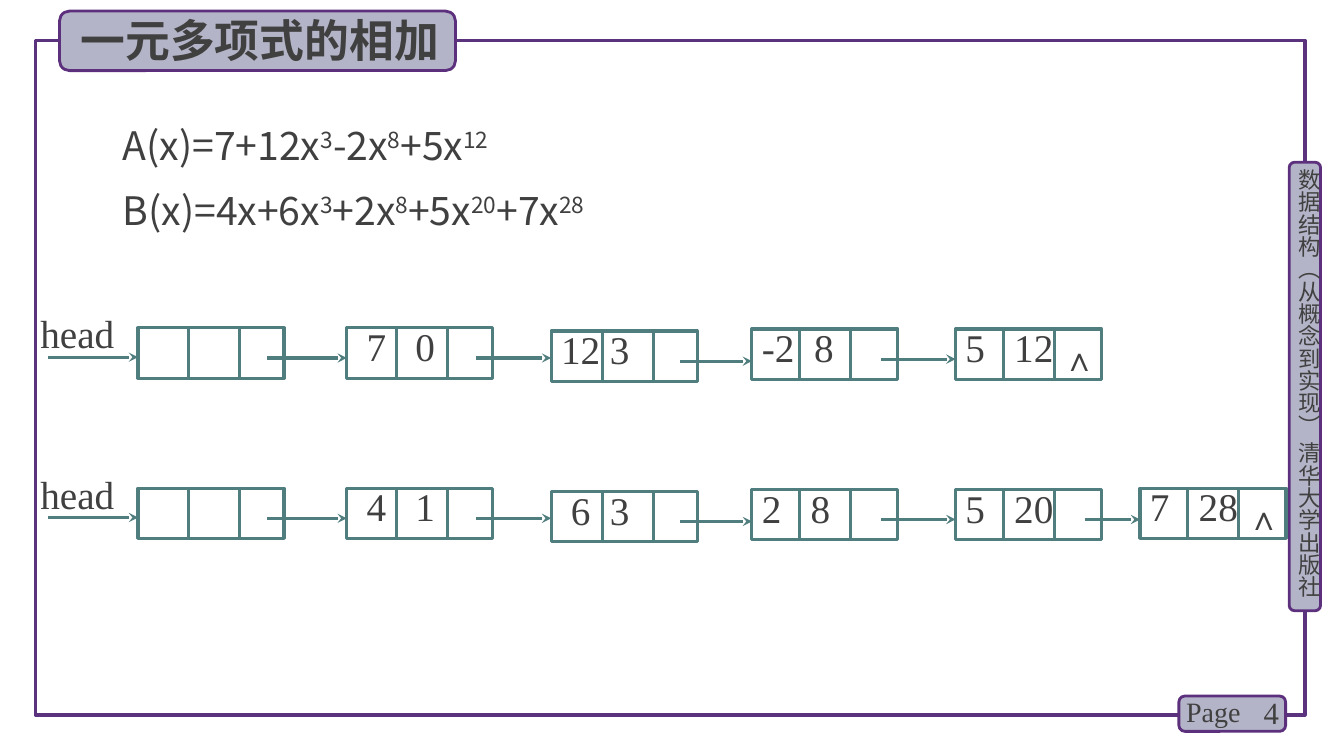
from lxml import etree
from pptx import Presentation
from pptx.dml.color import RGBColor
from pptx.enum.shapes import MSO_CONNECTOR, MSO_SHAPE
from pptx.enum.text import MSO_ANCHOR, MSO_AUTO_SIZE, PP_ALIGN
from pptx.oxml.ns import qn
from pptx.util import Cm, Pt

RECT, ROUNDED = MSO_SHAPE.RECTANGLE, MSO_SHAPE.ROUNDED_RECTANGLE
STRAIGHT = MSO_CONNECTOR.STRAIGHT
TOP, MIDDLE = MSO_ANCHOR.TOP, MSO_ANCHOR.MIDDLE
LEFT, RIGHT = PP_ALIGN.LEFT, PP_ALIGN.RIGHT
NO_AUTOFIT = MSO_AUTO_SIZE.NONE

SANS, SERIF = "Noto Sans CJK SC", "Times New Roman"
INK, PANEL, TEAL = "404040", "B4B4C8", "507D7D"
FRAME_PURPLE, PANEL_PURPLE = "5A327D", "5C307D"
INSETS = (0.25, 0.13, 0.25, 0.13)

# Node geometry, in cm
NODE_W, NODE_H = 3.68, 1.27
CELL_W = 1.29
LINK_X, LINK_Y = 3.26, 0.76
# Left edge, drop below the row's top and width of the first cell
SLOTS = [(3.48, 0, 1.27), (8.74, 0, 1.25), (13.89, 0.08, 1.29),
         (18.95, 0.03, 1.2), (24.08, 0.03, 1.2), (28.73, 0, 1.2)]
# Coefficient, exponent, indent of the coefficient, tab to the exponent
TERMS_A = [("7", "0", 0.25, 1.23), ("12", "3", 0, 1.23),
           ("-2", "8", 0, 1.32), ("5", "12", 0, 1.23)]
TERMS_B = [("4", "1", 0.25, 1.23), ("6", "3", 0.25, 0.98),
           ("2", "8", 0, 1.23), ("5", "20", 0, 1.23), ("7", "28", 0, 1.23)]
# Text and exponent pairs
POLYNOMIALS = [
    [("A(x)=7+12x", "3"), ("-2x", "8"), ("+5x", "12")],
    [("B(x)=4x+6x", "3"), ("+2x", "8"), ("+5x", "20"), ("+7x", "28")],
]


def color(hex_code):
    return RGBColor.from_string(hex_code)


def style(paragraph, size, face, bold=False):
    font = paragraph.font
    font.size, font.name, font.bold = Pt(size), face, bold
    font.color.rgb = color(INK)
    defaults = paragraph._p.pPr.find(qn("a:defRPr"))
    latin = defaults.find(qn("a:latin"))
    latin.addnext(etree.Element(qn("a:ea"), typeface=face))


def set_frame(frame, insets=INSETS, anchor=TOP):
    frame.word_wrap = True
    frame.auto_size = NO_AUTOFIT
    frame.vertical_anchor = anchor
    (frame.margin_left, frame.margin_top,
     frame.margin_right, frame.margin_bottom) = map(Cm, insets)


def add_label(slide, box, text, size, face=SERIF, bold=False,
              insets=INSETS, anchor=TOP, align=LEFT):
    frame = slide.shapes.add_textbox(*map(Cm, box)).text_frame
    set_frame(frame, insets, anchor)
    paragraph = frame.paragraphs[0]
    paragraph.text = text
    paragraph.alignment = align
    style(paragraph, size, face, bold)
    return frame


def add_box(slide, kind, box, outline, width, fill=None):
    shape = slide.shapes.add_shape(kind, *map(Cm, box))
    shape.shadow.inherit = False
    if fill:
        shape.fill.solid()
        shape.fill.fore_color.rgb = color(fill)
    else:
        shape.fill.background()
    shape.line.color.rgb = color(outline)
    shape.line.width = Pt(width)
    return shape


def add_panel(slide, box):
    add_box(slide, ROUNDED, box, PANEL_PURPLE, 2, PANEL)


def add_line(slide, x1, y1, x2, y2, arrow=False):
    line = slide.shapes.add_connector(STRAIGHT, *map(Cm, (x1, y1, x2, y2)))
    line.line.color.rgb = color(TEAL)
    line.line.width = Pt(2.25)
    if arrow:
        etree.SubElement(line.line._get_or_add_ln(), qn("a:tailEnd"), type="stealth")
    etree.SubElement(line._element.spPr, qn("a:effectLst"))


def place(slide, holder, box):
    """Move a placeholder to the box and to the front."""
    holder.left, holder.top, holder.width, holder.height = map(Cm, box)
    slide.shapes._spTree.append(holder._element)
    set_frame(holder.text_frame)


def add_page_frame(slide, left, top, width, height):
    add_box(slide, RECT, (left, top, width, height), FRAME_PURPLE, 2.25)
    right, bottom = left + width, top + height
    # Book name on the right edge
    add_panel(slide, (right - 0.4, top + 3.07, 0.79, 11.3))
    book = add_label(slide, (right - 0.25, top + 3.23, 0.69, 11.4),
                     "数据结构（从概念到实现） 清华大学出版社", 16, SANS, insets=(0, 0, 0, 0))
    book._txBody.bodyPr.set("vert", "eaVert")
    # Page number on the bottom edge
    add_panel(slide, (right - 3.18, bottom - 0.48, 2.69, 0.89))
    add_label(slide, (right - 1.91, bottom - 0.58, 1.5, 1.02), "4", 22,
              anchor=MIDDLE, align=RIGHT)
    add_label(slide, (right - 3.25, bottom - 0.66, 1.98, 1.12), "Page", 20)


def add_heading(slide, left, top, width, height):
    add_panel(slide, (left, top, width, height))
    title = slide.shapes.title
    place(slide, title, (left + 0.28, top - 0.1, width + 1.04, height + 0.13))
    heading = title.text_frame.paragraphs[0]
    heading.text = "一元多项式的相加"
    heading.alignment = LEFT
    style(heading, 32, SANS, True)


def add_polynomials(slide, left, top, width, height):
    body = slide.placeholders[1]
    place(slide, body, (left, top, width, height))
    frame = body.text_frame
    for index, terms in enumerate(POLYNOMIALS):
        polynomial = frame.add_paragraph() if index else frame.paragraphs[0]
        properties = polynomial._p.get_or_add_pPr()
        properties.set("marL", "0")
        properties.set("indent", "0")
        etree.SubElement(properties, qn("a:buNone"))
        polynomial.line_spacing = 1.2
        polynomial.space_before = Pt(6 * index)
        style(polynomial, 28, SANS)
        for base, exponent in terms:
            polynomial.add_run().text = base
            power = polynomial.add_run()
            power.text = exponent
            power.font._element.set("baseline", "30000")


def add_node(slide, left, top, first_cell, term=None):
    node = add_box(slide, RECT, (left, top, NODE_W, NODE_H), TEAL, 2.25)
    for divider in (left + first_cell, left + first_cell + CELL_W):
        add_line(slide, divider, top, divider, top + NODE_H)
    if term:
        coefficient, exponent, indent, tab = term
        set_frame(node.text_frame, (0.25 + indent, 0, 0, 0.2))
        entry = node.text_frame.paragraphs[0]
        entry.text = f"{coefficient}\t{exponent}"
        entry.alignment = LEFT
        entry.line_spacing = 0.9
        stops = etree.SubElement(entry._p.pPr, qn("a:tabLst"))
        etree.SubElement(stops, qn("a:tab"), pos=str(Cm(tab)), algn="l")
        style(entry, 28, SERIF)


def add_linked_list(slide, left, top, terms):
    # Head pointer
    add_label(slide, (left, top - 0.46, 2.51, 1.22), "head", 28,
              insets=(0, 0, 0, 0.1))
    add_line(slide, left + 0.2, top + 0.74, SLOTS[0][0], top + 0.74, True)
    # Header node, then one node for each term
    nodes = list(zip(SLOTS, [None] + terms))
    for index, ((x, drop, first_cell), term) in enumerate(nodes):
        y = top + drop
        add_node(slide, x, y, first_cell, term)
        if index < len(nodes) - 1:
            add_line(slide, x + LINK_X, y + LINK_Y, SLOTS[index + 1][0], y + LINK_Y, True)
        else:
            add_label(slide, (x + 2.45, y + 0.1, 1.73, 1.17), "∧", 24,
                      bold=True, insets=(0.25, 0.13, 0.25, 0.1))


def main():
    deck = Presentation()
    deck.slide_width, deck.slide_height = Cm(33.87), Cm(19.05)
    slide = deck.slides.add_slide(deck.slide_layouts[1])
    add_page_frame(slide, 0.89, 1.02, 32, 17)
    add_heading(slide, 1.5, 0.28, 9.98, 1.5)
    add_polynomials(slide, 2.84, 2.69, 27.66, 3.73)
    add_linked_list(slide, 1.02, 8.26, TERMS_A)
    add_linked_list(slide, 1.02, 12.3, TERMS_B)
    deck.save("out.pptx")


if __name__ == "__main__":
    main()
